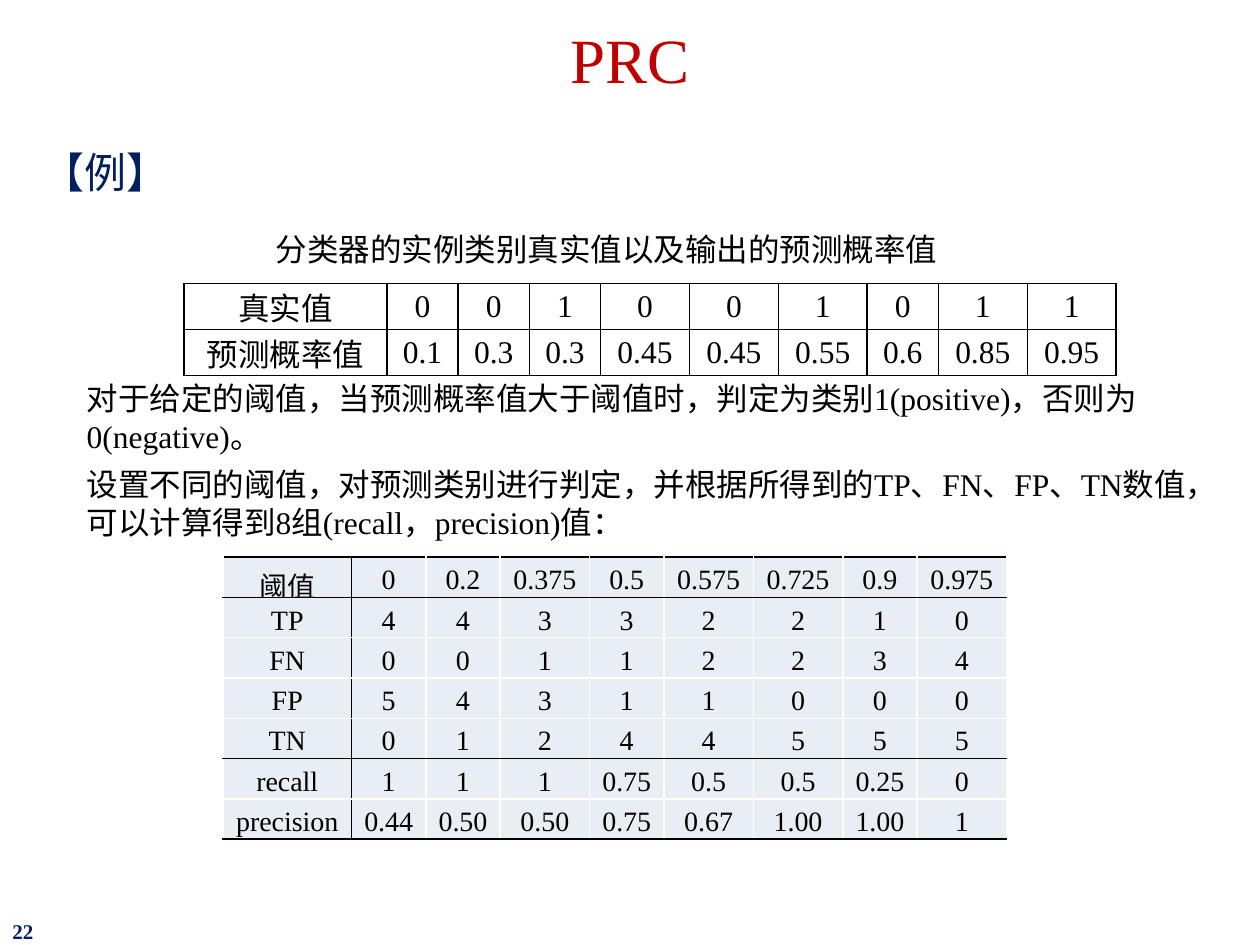
from dataclasses import dataclass

from lxml.etree import SubElement
from pptx import Presentation
from pptx.dml.color import RGBColor
from pptx.enum.text import MSO_ANCHOR, PP_ALIGN
from pptx.oxml.ns import qn
from pptx.util import Inches, Pt


@dataclass(frozen=True)
class Theme:
    """Colours, type sizes and rule width of the slide."""
    font: str = "Times New Roman"
    red: str = "C00000"
    navy: str = "002060"
    black: str = "000000"
    white: str = "FFFFFF"
    tint: str = "E9EDF4"
    title: int = 36
    heading: int = 24
    body: int = 18
    data: int = 16
    number: int = 12
    rule: int = 1


@dataclass(frozen=True)
class Box:
    """A region in columns and rows of the slide grid."""
    left: float
    top: float
    width: float
    height: float

    def lengths(self):
        """Return the region as slide lengths."""
        return [round(CELL * n) for n in (self.left, self.top, self.width, self.height)]


THEME = Theme()
SLIDE_WIDTH, SLIDE_HEIGHT = Inches(10), Inches(7.5)
GRID_COLUMNS = 100
CELL = SLIDE_WIDTH / GRID_COLUMNS

INSTANCES = (
    "真实值 0 0 1 0 0 1 0 1 1",
    "预测概率值 0.1 0.3 0.3 0.45 0.45 0.55 0.6 0.85 0.95",
)
INSTANCE_COLUMNS = (16.1, 5.65, 5.65, 5.65, 7.05, 7.05, 7.05, 5.65, 7.05, 7.05)
SCORES = (
    "阈值 0 0.2 0.375 0.5 0.575 0.725 0.9 0.975",
    "TP 4 4 3 3 2 2 1 0",
    "FN 0 0 1 1 2 2 3 4",
    "FP 5 4 3 1 1 0 0 0",
    "TN 0 1 2 4 4 5 5 5",
    "recall 1 1 1 0.75 0.5 0.5 0.25 0",
    "precision 0.44 0.50 0.50 0.75 0.67 1.00 1.00 1",
)
SCORE_COLUMNS = (10.2, 5.9, 5.9, 7.1, 5.9, 7.1, 7.1, 5.9, 7.1)
EXPLANATION = (
    "对于给定的阈值，当预测概率值大于阈值时，判定为类别1(positive)，否则为0(negative)。",
    "设置不同的阈值，对预测类别进行判定，并根据所得到的TP、FN、FP、TN数值，"
    "可以计算得到8组(recall，precision)值：",
)


def style(paragraph, size, color, align=PP_ALIGN.LEFT, bold=False):
    """Set the font and alignment of a paragraph."""
    paragraph.alignment = align
    font = paragraph.font
    font.name, font.size, font.bold = THEME.font, Pt(size), bold
    font.color.rgb = RGBColor.from_string(color)


def add_text(slide, box, lines, size, color, align=PP_ALIGN.LEFT,
             anchor=MSO_ANCHOR.TOP, bold=False, spacing=None, after=0):
    """Place paragraphs in a box and return their text frame."""
    frame = slide.shapes.add_textbox(*box.lengths()).text_frame
    frame.word_wrap = True
    frame.vertical_anchor = anchor
    frame.text = "\n".join(lines)
    for paragraph in frame.paragraphs:
        style(paragraph, size, color, align, bold)
        paragraph.line_spacing = spacing
        paragraph.space_after = Pt(after)
    return frame


def rule_cell(cell, edges):
    """Draw the four edges of a cell, given as left, right, top, bottom colours."""
    properties = cell._tc.get_or_add_tcPr()
    for side, color in zip("LRTB", edges):
        line = SubElement(properties, qn(f"a:ln{side}"), w=str(Pt(THEME.rule)))
        SubElement(SubElement(line, qn("a:solidFill")), qn("a:srgbClr"), val=color)


def add_grid(slide, box, records, shares, size, ruled_rows, ruled_columns,
             fill=None, spacing=None):
    """Place a table with black rules after the given rows and columns."""
    left, top, width, height = box.lengths()
    rows = [record.split() for record in records]
    table = slide.shapes.add_table(len(rows), len(shares), left, top, width, height).table
    table.first_row = table.horz_banding = False
    for column, share in zip(table.columns, shares):
        column.width = round(width * share / sum(shares))
    for r, row in enumerate(rows):
        for c, value in enumerate(row):
            cell = table.cell(r, c)
            cell.text = value
            cell.margin_left = cell.margin_right = Inches(0.07)
            cell.margin_top = cell.margin_bottom = 0
            cell.vertical_anchor = MSO_ANCHOR.MIDDLE
            paragraph = cell.text_frame.paragraphs[0]
            style(paragraph, size, THEME.black, PP_ALIGN.CENTER)
            paragraph.line_spacing = spacing
            ruled = (c - 1 in ruled_columns, c in ruled_columns,
                     r - 1 in ruled_rows, r in ruled_rows)
            rule_cell(cell, [THEME.black if on else THEME.white for on in ruled])
            if fill:
                cell.fill.solid()
                cell.fill.fore_color.rgb = RGBColor.from_string(fill)
            else:
                cell.fill.background()
    return table


def add_header(slide, box):
    """Place the title and the example heading below it."""
    title = add_text(slide, Box(box.left, box.top, box.width, 8.9), ["PRC"], THEME.title,
                     THEME.red, PP_ALIGN.CENTER, MSO_ANCHOR.MIDDLE, spacing=0.9)
    title.margin_top = Inches(0.16)
    heading = add_text(slide, Box(box.left + 1.5, box.top + 9.9, box.width - 2.8, 7),
                       ["【例】"], THEME.heading, THEME.navy, spacing=1.3)
    heading.margin_left = Inches(0.19)


def add_instances(slide, box):
    """Place the table of true classes and probabilities under its caption."""
    add_text(slide, Box(box.left + 6.3, box.top, 61.4, 4),
             ["分类器的实例类别真实值以及输出的预测概率值"], THEME.body, THEME.black)
    table = add_grid(slide, Box(box.left, box.top + 4.7, box.width, box.height - 4.7),
                     INSTANCES, INSTANCE_COLUMNS, THEME.body,
                     range(-1, len(INSTANCES)), range(-1, len(INSTANCE_COLUMNS)))
    for r in range(len(INSTANCES)):
        table.cell(r, 0).vertical_anchor = MSO_ANCHOR.TOP


def add_scores(slide, box):
    """Place the table of counts, recall and precision per threshold."""
    add_grid(slide, box, SCORES, SCORE_COLUMNS, THEME.data,
             (-1, 0, 4, len(SCORES) - 1), (0,), THEME.tint, 1.2)


def main():
    """Build the slide and save it."""
    deck = Presentation()
    deck.slide_width, deck.slide_height = SLIDE_WIDTH, SLIDE_HEIGHT
    slide = deck.slides.add_slide(deck.slide_layouts[6])
    add_header(slide, Box(0, 0, GRID_COLUMNS, 17))
    add_instances(slide, Box(14.6, 17.8, 74, 12))
    add_text(slide, Box(5.9, 29.6, 91.3, 14), EXPLANATION, THEME.body, THEME.black, after=6)
    add_scores(slide, Box(17.7, 44.2, 62.2, 22.4))
    add_text(slide, Box(0, 72.8, 22.5, 2.2), ["22"], THEME.number, THEME.navy,
             anchor=MSO_ANCHOR.MIDDLE, bold=True)
    deck.save("out.pptx")


if __name__ == "__main__":
    main()
